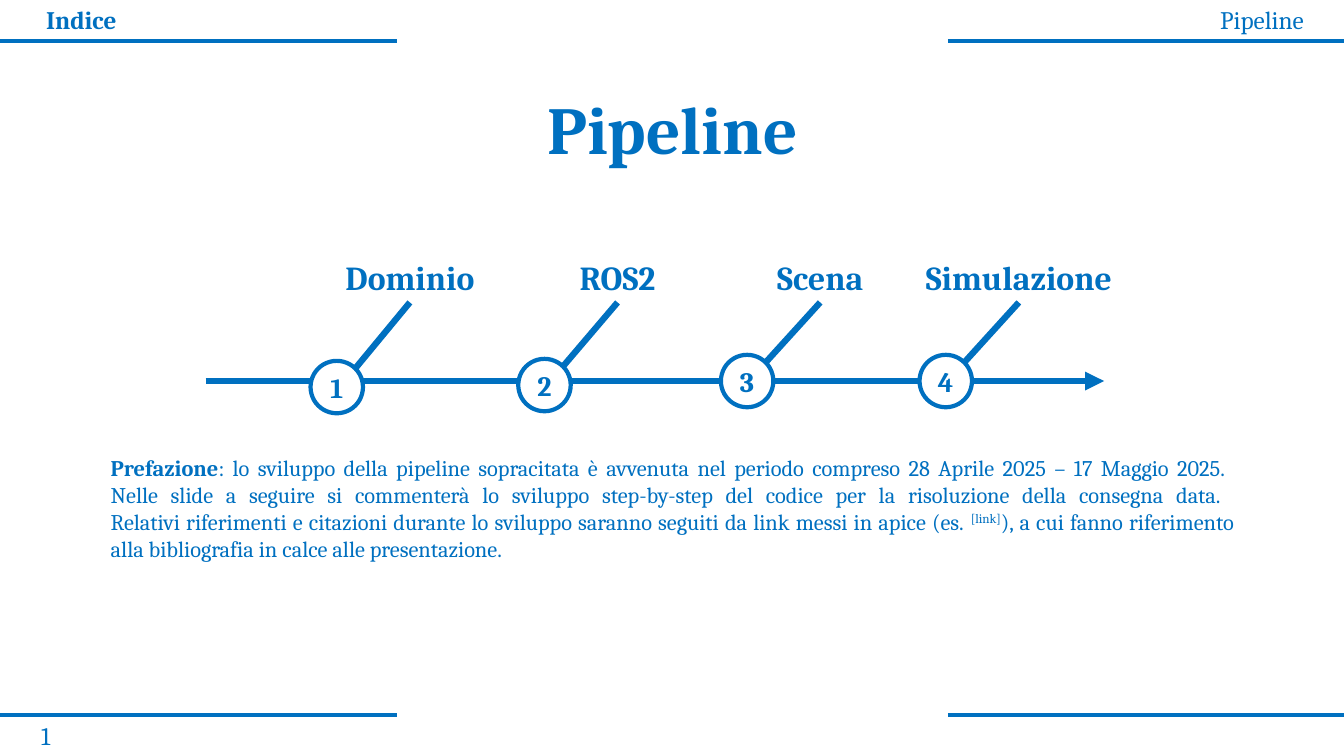
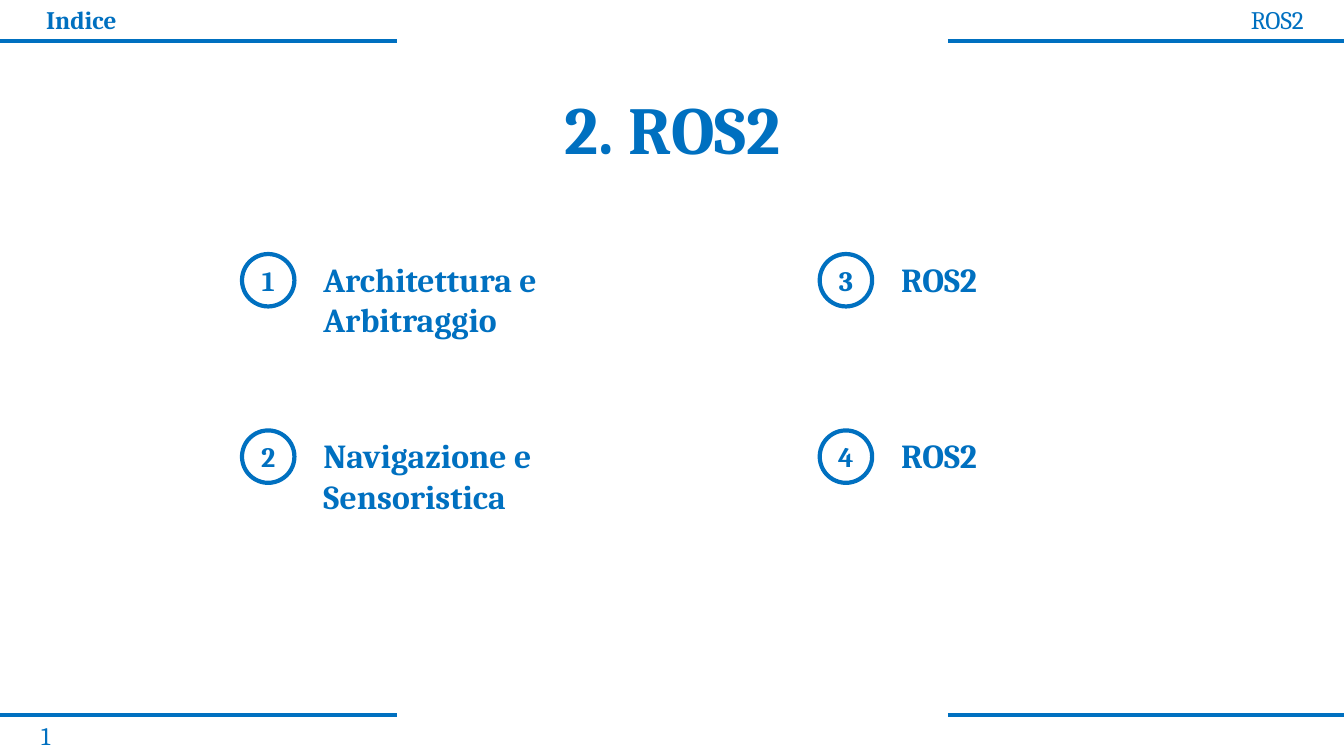
from dataclasses import dataclass
from itertools import product

from lxml.etree import SubElement
from pptx import Presentation
from pptx.dml.color import RGBColor
from pptx.enum.shapes import MSO_CONNECTOR, MSO_SHAPE
from pptx.enum.text import MSO_ANCHOR, MSO_AUTO_SIZE, PP_ALIGN
from pptx.oxml.ns import qn
from pptx.util import Emu, Pt

SCALE = 9144
WIDE, HIGH = 1333, 750
DISC = 52


@dataclass(frozen=True)
class Theme:
    blue: RGBColor = RGBColor(0x00, 0x70, 0xC0)
    white: RGBColor = RGBColor(0xFF, 0xFF, 0xFF)
    face: str = "Cambria"
    title: int = 48
    label: int = 24
    badge: int = 20
    edge: int = 18
    body: int = 16
    thin: float = 3
    thick: float = 4.5


def px(num):
    return Emu(num * SCALE)


def apply(target, form):
    for name, value in form.items():
        setattr(target, name, value)


class Deck:
    def __init__(self, theme):
        self.theme = theme
        self.file = Presentation()
        apply(self.file, {"slide_width": px(WIDE), "slide_height": px(HIGH)})
        self.slide = None

    def page(self, head, title):
        self.slide = self.file.slides.add_slide(self.file.slide_layouts[6])
        for y, (left, right) in product((709, 41), ((0, 394), (940, WIDE))):
            self.line(left, y, right, y, self.theme.thin)
        edge = self.theme.edge
        self.text(31, 710, 394, 40, "1", edge)
        self.text(909, -1, 394, 40, head, edge, align=PP_ALIGN.RIGHT)
        self.text(36, -1, 394, 40, "Indice", edge, bold=True)
        self.text(31, 82, 1272, 91, title, self.theme.title,
                  bold=True, align=PP_ALIGN.CENTER)

    def run(self, para, text, size, bold=False, base=0):
        run = para.add_run()
        run.text = text
        apply(run.font, {"name": self.theme.face, "size": Pt(size), "bold": bold})
        run.font.color.rgb = self.theme.blue
        if base:
            run.font._element.set("baseline", str(base * 1000))

    def box(self, x, y, w, h, align=PP_ALIGN.LEFT):
        box = self.slide.shapes.add_textbox(px(x), px(y), px(w), px(h))
        apply(box.text_frame, {
            "word_wrap": True, "auto_size": MSO_AUTO_SIZE.SHAPE_TO_FIT_TEXT})
        box.text_frame.paragraphs[0].alignment = align
        return box

    def text(self, x, y, w, h, words, size, bold=False, align=PP_ALIGN.LEFT):
        box = self.box(x, y, w, h, align)
        self.run(box.text_frame.paragraphs[0], words, size, bold)
        return box

    def prose(self, x, y, w, h, lines):
        box = self.box(x, y, w, h, PP_ALIGN.JUSTIFY)
        para = box.text_frame.paragraphs[0]
        para.space_after = Pt(6)
        for spot, line in enumerate(lines):
            if spot:
                para.add_line_break()
            for words, form in line:
                self.run(para, words, self.theme.body, **form)

    def line(self, x1, y1, x2, y2, width, arrow=False):
        line = self.slide.shapes.add_connector(
            MSO_CONNECTOR.STRAIGHT, px(x1), px(y1), px(x2), px(y2))
        line.line.color.rgb = self.theme.blue
        line.line.width = Pt(width)
        if arrow:
            SubElement(line.line._get_or_add_ln(), qn("a:tailEnd"), type="triangle")
        SubElement(line._element.spPr, qn("a:effectLst"))
        return line

    def badge(self, x, y, num):
        disc = self.slide.shapes.add_shape(
            MSO_SHAPE.OVAL, px(x), px(y), px(DISC), px(DISC))
        disc.shadow.inherit = False
        disc.fill.solid()
        disc.fill.fore_color.rgb = self.theme.white
        disc.line.color.rgb = self.theme.blue
        disc.line.width = Pt(self.theme.thin)
        disc.text_frame.vertical_anchor = MSO_ANCHOR.MIDDLE
        para = disc.text_frame.paragraphs[0]
        para.alignment = PP_ALIGN.CENTER
        self.run(para, str(num), self.theme.badge, bold=True)

    def step(self, x, y, num, name):
        label = self.text(x - 6, 250, 209, 50, name, self.theme.label,
                          bold=True, align=PP_ALIGN.CENTER)
        spoke = self.line(x + DISC - 8, y + 8, x + 98, 300, self.theme.thick)
        spoke.end_connect(label, 2)
        self.badge(x, y, num)

    def entry(self, x, y, num, name, high):
        self.badge(x, y, num)
        self.text(x + 71, y, 236, high, name, self.theme.label, bold=True)


def main():
    deck = Deck(Theme())

    deck.page("Pipeline", "Pipeline")
    deck.line(204, 378, 1095, 378, deck.theme.thick, arrow=True)
    steps = ((308, 358, "Dominio"), (514, 356, "ROS2"),
             (715, 352, "Scena"), (912, 352, "Simulazione"))
    for num, (x, y, name) in enumerate(steps, 1):
        deck.step(x, y, num, name)
    deck.prose(100, 446, 1134, 118, (
        (("Prefazione", {"bold": True}),
         (": lo sviluppo della pipeline sopracitata è avvenuta nel periodo "
          "compreso 28 Aprile 2025 – 17 Maggio 2025. ", {})),
        (("Nelle slide a seguire si commenterà lo sviluppo step-by-step del "
          "codice per la risoluzione della consegna data. ", {}),),
        (("Relativi riferimenti e citazioni durante lo sviluppo saranno "
          "seguiti da link messi in apice (es. ", {}),
         ("[link]", {"base": 30}),
         ("), a cui fanno riferimento alla bibliografia in calce alle "
          "presentazione.", {})),
    ))

    deck.page("ROS2", "2. ROS2")
    topics = (("Architettura e Arbitraggio", 91), ("Navigazione e Sensoristica", 91),
              ("ROS2", 50), ("ROS2", 50))
    spots = product((240, 813), (252, 427))
    for num, ((x, y), (name, high)) in enumerate(zip(spots, topics), 1):
        deck.entry(x, y, num, name, high)

    deck.file.save("out.pptx")


if __name__ == "__main__":
    main()
